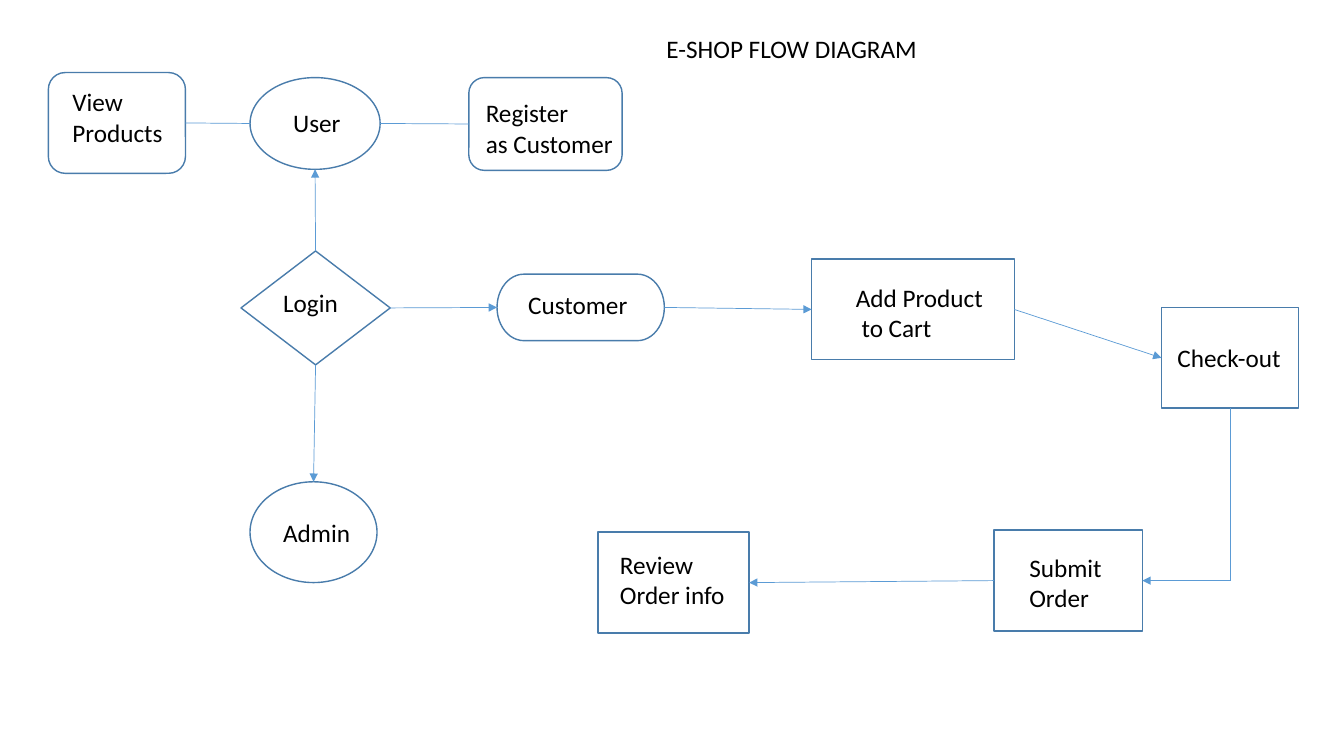
from pptx import Presentation
from pptx.util import Inches, Pt
from pptx.dml.color import RGBColor
from pptx.enum.shapes import MSO_SHAPE, MSO_CONNECTOR
from pptx.enum.text import MSO_ANCHOR, MSO_AUTO_SIZE, PP_ALIGN
from pptx.oxml.ns import qn
from lxml.etree import SubElement

COLORS = {"page": "FFFFFF", "text": "000000", "edge": "497CAB", "link": "5B9BD5"}
SIDES = {"top": (0.5, 0), "left": (0, 0.5), "base": (0.5, 1), "right": (1, 0.5)}


class Board:
    """Holds the style and the slide, and draws each kind of element."""

    def __init__(self, slide, font="Calibri", size=18):
        self.slide, self.font, self.size = slide, font, size
        fill = slide.background.fill
        fill.solid()
        fill.fore_color.rgb = self.color("page")

    def color(self, name):
        return RGBColor.from_string(COLORS[name])

    def letter(self, shape, text):
        frame = shape.text_frame
        frame.text = text
        frame.word_wrap = True
        frame.auto_size = MSO_AUTO_SIZE.NONE
        frame.vertical_anchor = MSO_ANCHOR.TOP
        for line in frame.paragraphs:
            line.alignment = PP_ALIGN.LEFT
            line.font.name = self.font
            line.font.size = Pt(self.size)
            line.font.color.rgb = self.color("text")

    def title(self, text, left, top, width, height):
        shape = self.slide.shapes.title
        shape.left, shape.top = Inches(left), Inches(top)
        shape.width, shape.height = Inches(width), Inches(height)
        self.letter(shape, text)

    def label(self, text, left, top, width):
        height = 0.71 if "\n" in text else 0.4
        box = self.slide.shapes.add_textbox(*map(Inches, (left, top, width, height)))
        self.letter(box, text)

    def node(self, kind, *place):
        shape = self.slide.shapes.add_shape(kind, *map(Inches, place))
        shape.shadow.inherit = False
        shape.fill.background()
        shape.line.color.rgb = self.color("edge")
        shape.line.width = Pt(1)
        return shape

    def port(self, shape, side):
        across, down = SIDES[side]
        return (int(shape.left + shape.width * across),
                int(shape.top + shape.height * down))

    def link(self, start, end, arrow=True):
        line = self.slide.shapes.add_connector(MSO_CONNECTOR.STRAIGHT, *start, *end)
        line.line.color.rgb = self.color("link")
        line.line.width = Pt(0.5)
        props = line.element.spPr
        if arrow:
            SubElement(props.find(qn("a:ln")), qn("a:tailEnd"), type="triangle")
        SubElement(props, qn("a:effectLst"))


def main():
    deck = Presentation()
    deck.slide_width, deck.slide_height = Inches(13.33), Inches(7.5)
    board = Board(deck.slides.add_slide(deck.slide_layouts[5]))
    board.title("E-SHOP FLOW DIAGRAM", 6.51, 0.28, 3.21, 0.4)

    steps = [
        ("User", MSO_SHAPE.OVAL, (2.48, 0.77, 1.29, 0.91), (2.81, 1.02, 0.8)),
        ("Admin", MSO_SHAPE.OVAL, (2.48, 4.78, 1.26, 1), (2.71, 5.08, 0.9)),
        ("View\nProducts", MSO_SHAPE.ROUNDED_RECTANGLE,
         (0.48, 0.72, 1.36, 1), (0.62, 0.81, 1.36)),
        ("Register\nas Customer", MSO_SHAPE.ROUNDED_RECTANGLE,
         (4.65, 0.77, 1.52, 0.92), (4.72, 0.92, 1.5)),
        ("Login", MSO_SHAPE.FLOWCHART_DECISION,
         (2.39, 2.49, 1.48, 1.13), (2.71, 2.8, 0.81)),
        ("Customer", MSO_SHAPE.FLOWCHART_TERMINATOR,
         (4.93, 2.72, 1.66, 0.66), (5.14, 2.82, 1.45)),
        ("Add Product\n to Cart", MSO_SHAPE.RECTANGLE,
         (8.05, 2.57, 2.01, 1), (8.39, 2.75, 1.48)),
        ("Check-out", MSO_SHAPE.RECTANGLE, (11.52, 3.05, 1.36, 1), (11.58, 3.35, 1.25)),
        ("Submit\nOrder", MSO_SHAPE.RECTANGLE, (9.86, 5.26, 1.47, 1), (10.11, 5.43, 0.98)),
        ("Review\nOrder info", MSO_SHAPE.RECTANGLE, (5.93, 5.28, 1.5, 1), (6.05, 5.4, 1.45)),
    ]
    nodes = []
    for text, kind, place, spot in steps:
        nodes.append(board.node(kind, *place))
        board.label(text, *spot)
    user, admin, view, join, login, buyer, cart, check, submit, review = nodes

    for start, side, end, goal, arrow in [
        (view, "right", user, "left", False),
        (user, "right", join, "left", False),
        (login, "top", user, "base", True),
        (login, "base", admin, "top", True),
        (login, "right", buyer, "left", True),
        (buyer, "right", cart, "left", True),
        (cart, "right", check, "left", True),
        (submit, "left", review, "right", True),
    ]:
        board.link(board.port(start, side), board.port(end, goal), arrow)

    start, end = board.port(check, "base"), board.port(submit, "right")
    bend = start[0], end[1]
    board.link(start, bend, arrow=False)
    board.link(bend, end)
    deck.save("out.pptx")


if __name__ == "__main__":
    main()
